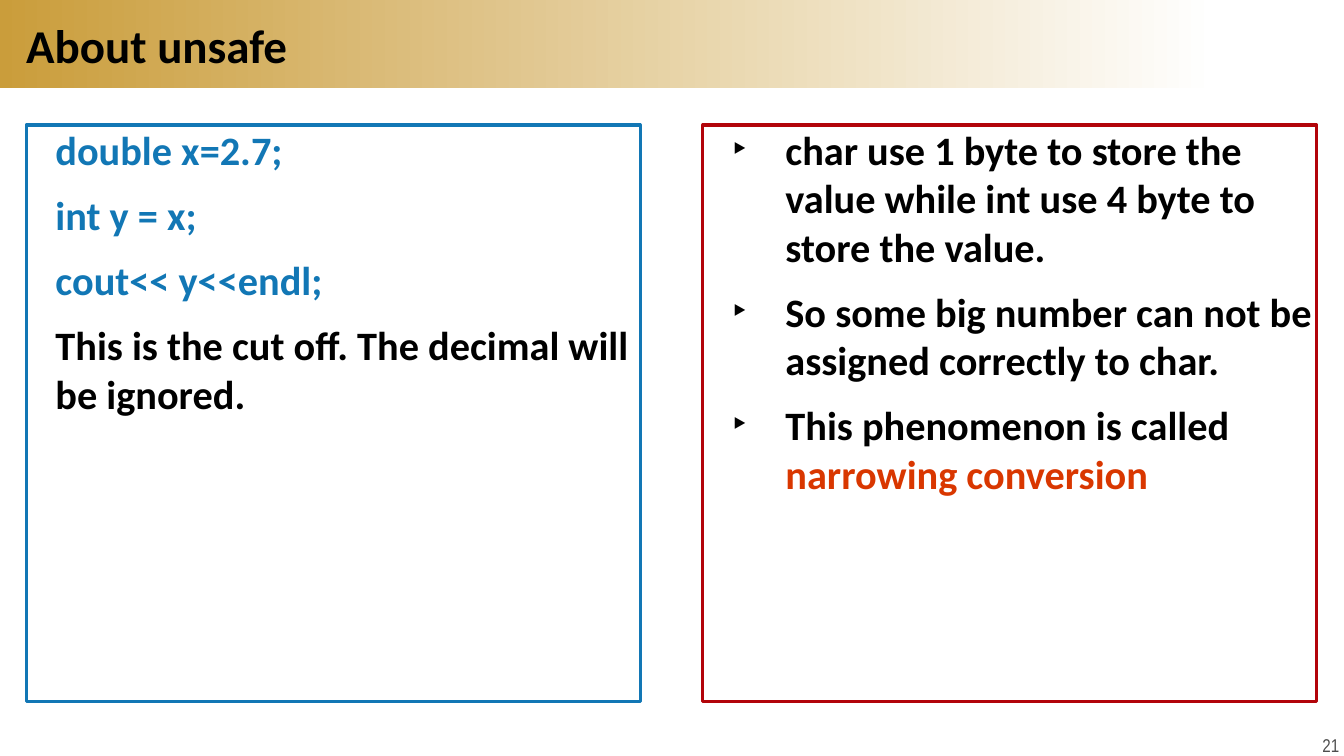
from pptx import Presentation
from pptx.dml.color import RGBColor
from pptx.enum.shapes import MSO_SHAPE
from pptx.enum.text import MSO_ANCHOR, MSO_AUTO_SIZE, PP_ALIGN
from pptx.util import Inches, Pt
from lxml import etree

A = "{http://schemas.openxmlformats.org/drawingml/2006/main}"
BLUE, RED, ORANGE, BLACK = "1277B5", "B2040A", "D93700", "000000"
GOLD, WHITE, GRAY = "CA9D3B", "FFFFFF", "4D4D4D"

# Two-column grid
WIDTH, HEIGHT = 13.33, 7.5
MARGIN, GAP = 0.26, 0.62
COLUMN = 6.09
PANEL_TOP, PANEL_HEIGHT = 1.24, 5.72

CODE = [[(line, BLUE)] for line in
        ("double x=2.7;", "int y = x;", "cout<< y<<endl;")]
CODE.append([("This is the cut off. The decimal will be ignored.", BLACK)])
NOTES = [
    [("char use 1 byte to store the value while int use 4 byte to store the value.", BLACK)],
    [("So some big number can not be assigned correctly to char.", BLACK)],
    [("This phenomenon is called ", BLACK), ("narrowing conversion", ORANGE)],
]


def rgb(value):
    return RGBColor.from_string(value)


def place(sp, box):
    sp.left, sp.top, sp.width, sp.height = [Inches(v) for v in box]


def set_frame(tf, anchor, margins=(0, 0), wrap=True):
    tf.auto_size = MSO_AUTO_SIZE.NONE
    tf.word_wrap = wrap
    tf.vertical_anchor = anchor
    tf.margin_left = tf.margin_right = Inches(margins[0])
    tf.margin_top = tf.margin_bottom = Inches(margins[1])


def style(r, size, color, name="Calibri", bold=True):
    r.font.size, r.font.name, r.font.bold = Pt(size), name, bold
    r.font.color.rgb = rgb(color)


def set_bullet(p, bullet, left, hanging):
    pPr = p._p.get_or_add_pPr()
    pPr.set("marL", str(Inches(left)))
    pPr.set("indent", str(-Inches(hanging)))
    if bullet:
        etree.SubElement(pPr, A + "buFont", typeface="Arial")
        etree.SubElement(pPr, A + "buChar", char=bullet)
    else:
        etree.SubElement(pPr, A + "buNone")


def add_header(slide, box):
    x, y, w, h = box
    # Gradient band, behind the title
    band = slide.shapes.add_shape(MSO_SHAPE.RECTANGLE, 0, 0, 0, 0)
    place(band, (x, y, w * 0.905, h))
    band.shadow.inherit = False
    band.line.fill.background()
    band.fill.gradient()
    band.fill.gradient_angle = 0
    for stop, color in zip(band.fill.gradient_stops, (GOLD, WHITE)):
        stop.color.rgb = rgb(color)
    slide.shapes._spTree.insert(2, band._element)

    # Title
    title = slide.shapes.title
    place(title, (x + MARGIN, y + 0.1, w - 2 * MARGIN, h - 0.19))
    tf = title.text_frame
    tf.text = "About unsafe"
    set_frame(tf, MSO_ANCHOR.MIDDLE)
    p = tf.paragraphs[0]
    p.alignment = PP_ALIGN.LEFT
    style(p.runs[0], 33.6, BLACK)


def fill_panel(sp, box, border, paragraphs, bullet=None, left=0.29, hanging=0):
    place(sp, box)
    sp.line.color.rgb = rgb(border)
    sp.line.width = Pt(2.25)
    tf = sp.text_frame
    set_frame(tf, MSO_ANCHOR.TOP)
    for i, parts in enumerate(paragraphs):
        p = tf.add_paragraph() if i else tf.paragraphs[0]
        p.space_before, p.space_after = Pt(0), Pt(12)
        set_bullet(p, bullet, left, hanging)
        for text, color in parts:
            r = p.add_run()
            r.text = text
            style(r, 28.8, color)


def add_page_number(slide, box):
    sp = slide.shapes.add_textbox(0, 0, 0, 0)
    place(sp, box)
    tf = sp.text_frame
    tf.text = "21"
    set_frame(tf, MSO_ANCHOR.TOP, (0.07, 0.04), wrap=False)
    p = tf.paragraphs[0]
    p.alignment = PP_ALIGN.CENTER
    style(p.runs[0], 13.2, GRAY, "Arial Narrow", False)


def main():
    prs = Presentation()
    prs.slide_width, prs.slide_height = Inches(WIDTH), Inches(HEIGHT)
    slide = prs.slides.add_slide(prs.slide_layouts[3])
    add_header(slide, (0, 0, WIDTH, 0.87))

    # Code on the left, explanation on the right
    left, right = [(MARGIN + i * (COLUMN + GAP), PANEL_TOP, COLUMN, PANEL_HEIGHT)
                   for i in range(2)]
    fill_panel(slide.placeholders[1], left, BLUE, CODE)
    fill_panel(slide.placeholders[2], right, RED, NOTES, "‣", 0.82, 0.53)

    add_page_number(slide, (WIDTH - 0.29, HEIGHT - 0.26, 0.32, 0.26))
    prs.save("out.pptx")


if __name__ == "__main__":
    main()
